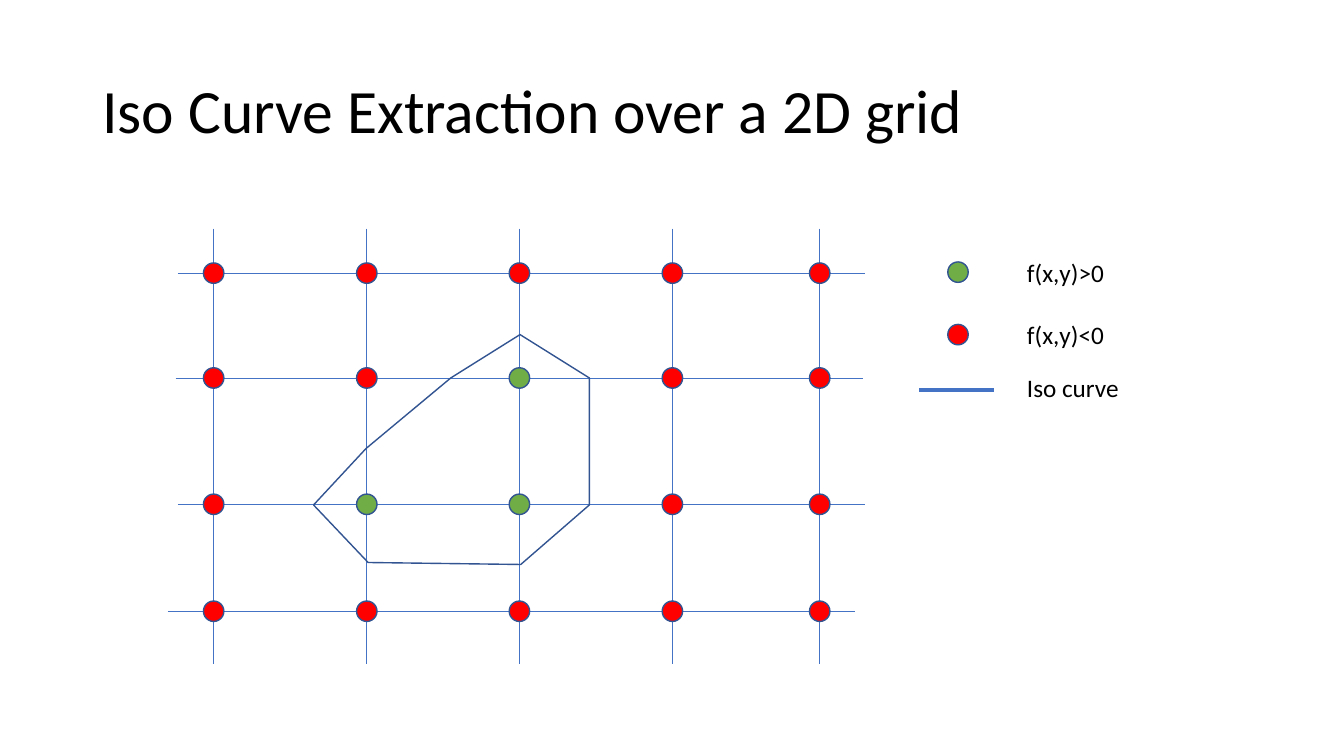
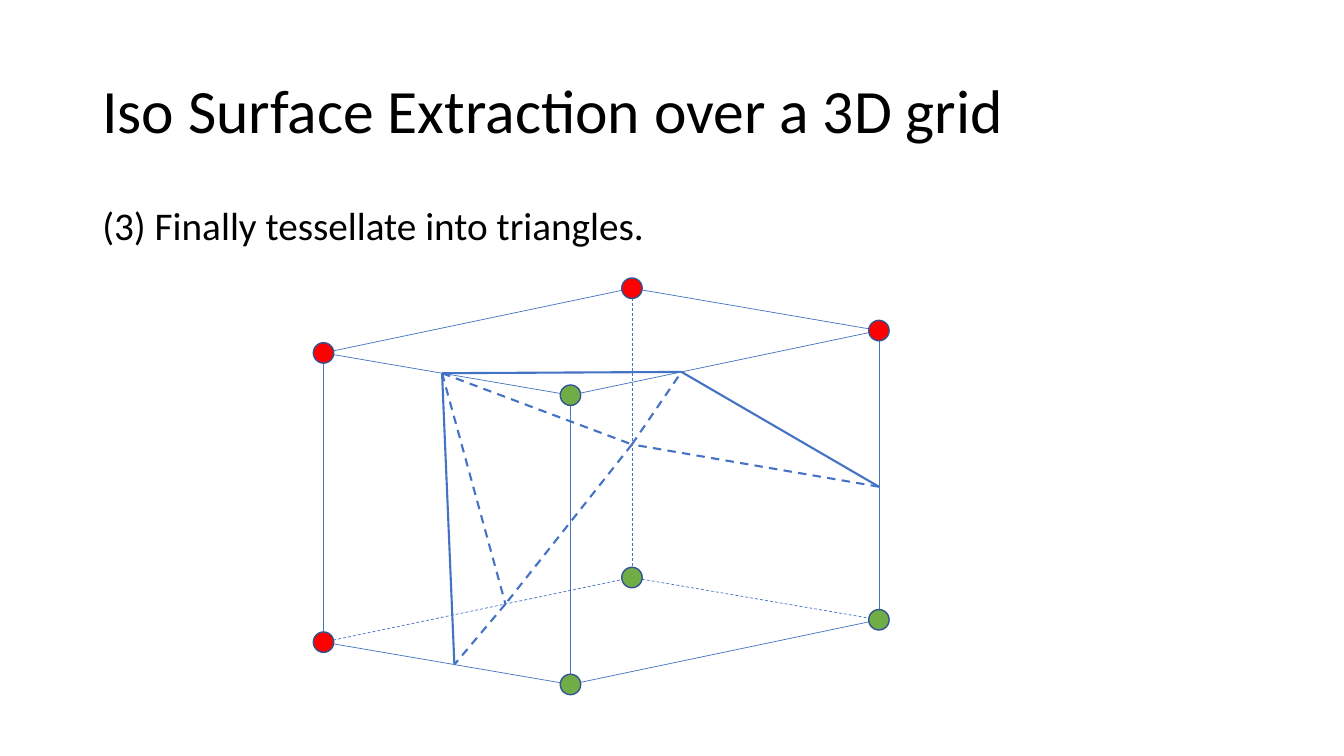
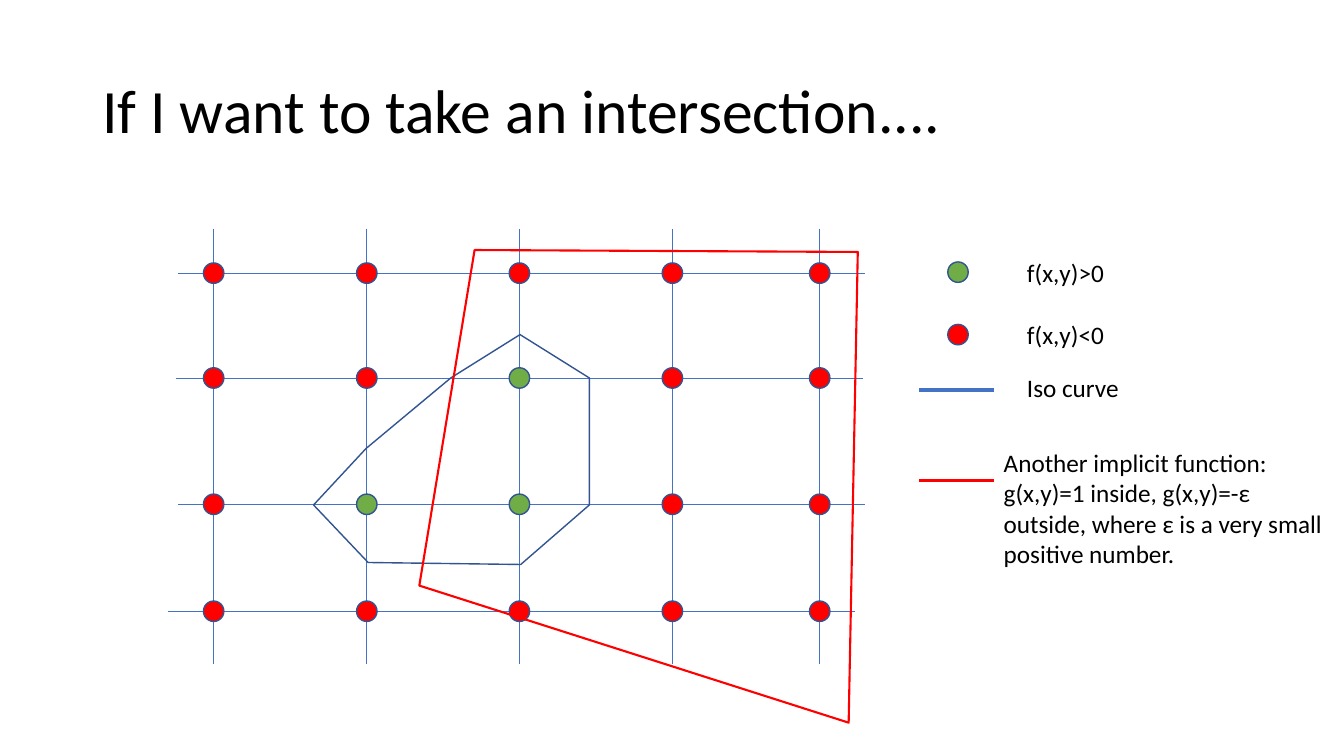
from itertools import combinations, product

from lxml.etree import SubElement
from pptx import Presentation
from pptx.dml.color import RGBColor
from pptx.enum.dml import MSO_LINE
from pptx.enum.shapes import MSO_CONNECTOR, MSO_SHAPE
from pptx.enum.text import MSO_ANCHOR, MSO_AUTO_SIZE, PP_ALIGN
from pptx.oxml.ns import qn
from pptx.util import Pt

COLORS = {"text": "000000", "line": "4472C4", "outline": "325491",
          "positive": "70AD47", "negative": "FF0000", "region": "FF0000"}
FONT = "Calibri"
DOT = 14.6

# Boxes: left, top, width, height
TITLE_BOX = (66, 28.8, 828, 104.4)
BODY_BOX = (66, 144, 828, 342.7)
GRID_BOX = (120, 163.4, 498, 311)
LEGEND_BOX = (656.6, 180, 303.4, 230)
CUBE_BOX = (231.1, 205.9, 396.7, 283)

# Grid, relative to its box
COLUMNS = (32.6, 142, 251, 360.3, 465.5)
ROWS = (31.7, 106.6, 196.8, 273.2)
ROW_STARTS = (7, 5.5, 7, 0)
ROW_LENGTH = 491
INSIDE = {(2, 1), (1, 2), (2, 2)}
ISO_CURVE = [(141.5, 157), (202, 106.6), (251.5, 75.6), (301, 106.6),
             (301, 197.3), (252, 239.8), (143, 238.4), (104, 197.3)]
REGION = [(219, 15.2), (179.5, 254.9), (486.2, 352.8), (492.7, 16.6)]

# Legend rows: mark, colour, mark y, text left, text top, text width, lines
ISO_LEGEND = [
    ("dot", "positive", 14.4, 69.9, 0, 70, ["f(x,y)>0"]),
    ("dot", "negative", 59, 69.9, 44.6, 70, ["f(x,y)<0"]),
    ("line", "line", 98.6, 69.9, 82.1, 81, ["Iso curve"]),
]
REGION_LEGEND = [
    ("line", "region", 163.4, 53.3, 136.1, 249.8,
     ["Another implicit function:",
      "g(x,y)=1 inside, g(x,y)=-ε outside, where ε is a very small "
      "positive number."]),
]

# Cube corners and cuts as fractions along (right, back, down)
NEGATIVE_CORNERS = {(0, 0, 0), (0, 1, 0), (1, 1, 0), (0, 0, 1)}
HIDDEN_CORNER = (0, 1, 1)
CUTS = {"front top": (0.48, 0, 0), "right top": (1, 0.36, 0),
        "right back": (1, 1, 0.54), "left back": (0, 1, 0.54),
        "left bottom": (0, 0.59, 1), "front bottom": (0.53, 0, 1)}
TRIANGLE_EDGES = [
    ("right top", "right back", False),
    ("right top", "front top", False),
    ("right back", "left back", True),
    ("left back", "left bottom", True),
    ("left bottom", "front bottom", True),
    ("front top", "front bottom", False),
    ("front top", "left bottom", True),
    ("front top", "left back", True),
    ("left back", "right top", True),
]


def rgb(name):
    return RGBColor.from_string(COLORS[name])


def apply_format(target, values):
    for key, value in values.items():
        setattr(target, key, value)


def add_text(slide, box, lines, size, frame_format, paragraph_format):
    frame = slide.shapes.add_textbox(*map(Pt, box)).text_frame
    apply_format(frame, {"word_wrap": True, **frame_format})
    for index, line in enumerate(lines):
        paragraph = frame.add_paragraph() if index else frame.paragraphs[0]
        apply_format(paragraph, {"alignment": PP_ALIGN.LEFT, **paragraph_format})
        run = paragraph.add_run()
        run.text = line
        apply_format(run.font, {"name": FONT, "size": Pt(size)})
        run.font.color.rgb = rgb("text")


def add_line(slide, start, end, width, color="line", dashed=False):
    connector = slide.shapes.add_connector(
        MSO_CONNECTOR.STRAIGHT, *map(Pt, (*start, *end)))
    connector.line.color.rgb = rgb(color)
    connector.line.width = Pt(width)
    if dashed:
        connector.line.dash_style = MSO_LINE.DASH
    SubElement(connector.element.spPr, qn("a:effectLst"))


def add_dot(slide, x, y, color):
    dot = slide.shapes.add_shape(
        MSO_SHAPE.OVAL, *map(Pt, (x - DOT / 2, y - DOT / 2, DOT, DOT)))
    dot.shadow.inherit = False
    dot.fill.solid()
    dot.fill.fore_color.rgb = rgb(color)
    dot.line.color.rgb = rgb("outline")
    dot.line.width = Pt(1)


def add_outline(slide, box, points, color, width):
    corners = [(Pt(box[0] + x), Pt(box[1] + y)) for x, y in points]
    builder = slide.shapes.build_freeform(*corners[0])
    builder.add_line_segments(corners[1:], close=True)
    outline = builder.convert_to_shape()
    outline.shadow.inherit = False
    outline.fill.background()
    outline.line.color.rgb = rgb(color)
    outline.line.width = Pt(width)


def add_titled_slide(deck, title):
    slide = deck.slides.add_slide(deck.slide_layouts[6])
    add_text(slide, TITLE_BOX, [title], 44,
             {"vertical_anchor": MSO_ANCHOR.MIDDLE}, {"line_spacing": 0.9})
    return slide


def draw_grid(slide, box):
    left, top, _, height = box
    # Grid lines
    for x in COLUMNS:
        add_line(slide, (left + x, top), (left + x, top + height), 0.5)
    for x, y in zip(ROW_STARTS, ROWS):
        add_line(slide, (left + x, top + y),
                 (left + x + ROW_LENGTH, top + y), 0.5)
    # Sample points
    for (row, y), (column, x) in product(enumerate(ROWS), enumerate(COLUMNS)):
        sign = "positive" if (column, row) in INSIDE else "negative"
        add_dot(slide, left + x, top + y, sign)
    add_outline(slide, box, ISO_CURVE, "outline", 1)


def draw_legend(slide, box, entries):
    left, top = box[:2]
    for mark, color, y, text_x, text_y, text_width, lines in entries:
        if mark == "dot":
            add_dot(slide, left + 27.7, top + y, color)
        else:
            add_line(slide, (left, top + y), (left + 53.3, top + y), 2.25, color)
        add_text(slide, (left + text_x, top + text_y, text_width, 29), lines, 18,
                 {"word_wrap": len(lines) > 1,
                  "auto_size": MSO_AUTO_SIZE.SHAPE_TO_FIT_TEXT}, {})


def draw_cube(slide, box):
    left, top, _, _ = box

    def place(right, back, down):
        return (left + 176.4 * right + 220.3 * back,
                top + 46.2 + 30.2 * right - 46.2 * back + 206.6 * down)

    # Cube edges join corners that differ along one axis
    corners = list(product((0, 1), repeat=3))
    for start, end in combinations(corners, 2):
        if sum(a != b for a, b in zip(start, end)) == 1:
            add_line(slide, place(*start), place(*end), 0.5,
                     dashed=HIDDEN_CORNER in (start, end))
    for corner in corners:
        sign = "negative" if corner in NEGATIVE_CORNERS else "positive"
        add_dot(slide, *place(*corner), sign)
    # Triangulated surface
    for start, end, dashed in TRIANGLE_EDGES:
        add_line(slide, place(*CUTS[start]), place(*CUTS[end]), 1.5,
                 dashed=dashed)


def build_curve_slide(deck, title):
    slide = add_titled_slide(deck, title)
    draw_grid(slide, GRID_BOX)
    draw_legend(slide, LEGEND_BOX, ISO_LEGEND)
    return slide


def build_surface_slide(deck):
    slide = add_titled_slide(deck, "Iso Surface Extraction over a 3D grid")
    add_text(slide, BODY_BOX, ["(3) Finally tessellate into triangles."], 28,
             {}, {"line_spacing": 0.9, "space_before": Pt(10)})
    draw_cube(slide, CUBE_BOX)


def build_intersection_slide(deck):
    slide = build_curve_slide(deck, "If I want to take an intersection....")
    add_outline(slide, GRID_BOX, REGION, "region", 1.5)
    draw_legend(slide, LEGEND_BOX, REGION_LEGEND)


def main():
    deck = Presentation()
    apply_format(deck, {"slide_width": Pt(960), "slide_height": Pt(540)})
    build_curve_slide(deck, "Iso Curve Extraction over a 2D grid")
    build_surface_slide(deck)
    build_intersection_slide(deck)
    deck.save("out.pptx")


if __name__ == "__main__":
    main()
